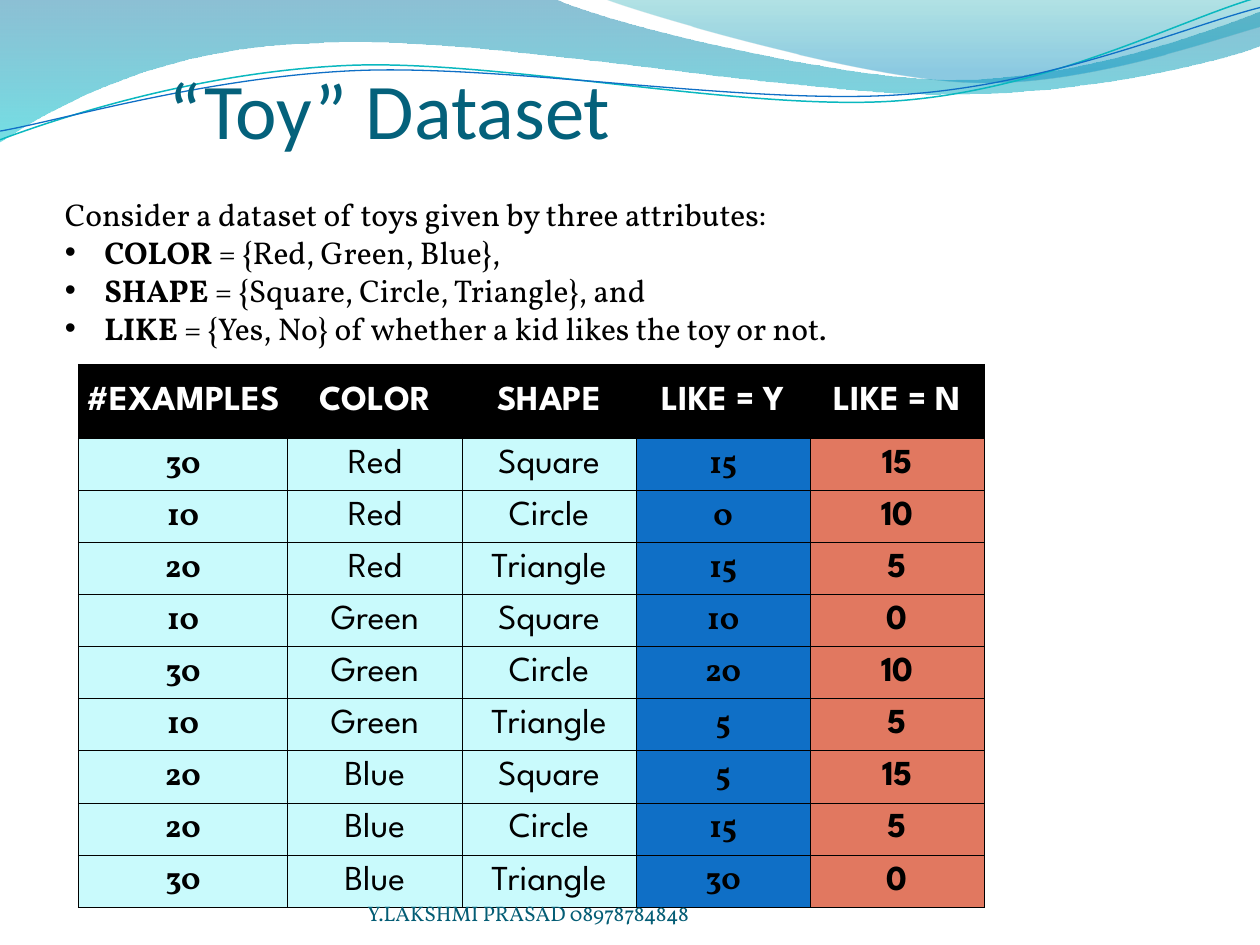
from lxml.etree import SubElement
from pptx import Presentation
from pptx.dml.color import RGBColor
from pptx.enum.text import MSO_ANCHOR as Anchor, MSO_AUTO_SIZE as AutoSize, PP_ALIGN as Align
from pptx.oxml.ns import qn
from pptx.util import Pt

COLORS = {
    "title": "04617B", "footer": "045D75", "black": "000000", "white": "FFFFFF",
    "plain": "C9FAFC", "yes": "0F6FC6", "no": "E17860",
    "deep": "0074A1", "aqua": "00C6CF", "teal": "00A1A9", "azure": "008BBF",
    "teal_line": "0AB8BF", "blue_line": "0F6FC6",
}
SERIF, SANS = "Vollkorn", "League Spartan"

# Outlines in points: a pair is a straight step, six numbers are a Bezier curve.
# Gradient stops are position, colour, opacity in percent.
BANDS = [
    ([(0, 0), (316.8, -0.7), (342.7, 12.2, 478.1, 45.4, 545.8, 45.4),
      (614.2, 45.4, 689.8, 18.7, 720, 6.5), (720.7, 25.9),
      (707.8, 31.7, 626.4, 54.7, 537.1, 54), (447.8, 54, 275, 20.2, 185, 24.5),
      (92.9, 25.9, 33.1, 59.8, -0.7, 81.4), (0, 0)],
     [(0, "deep", 45), (1, "aqua", 55)]),
    ([(344.9, -0.7), (366.5, 7.9, 491, 44.6, 553.7, 46.8),
      (616.3, 49.7, 691.9, 23, 720, 15.1), (720, 0), (344.9, -0.7)],
     [(0, "teal", 30), (0.8, "azure", 45)]),
]
STRANDS = [
    ([(0, 79.9), (34.6, 67, 113.8, 41, 199.4, 37.4),
      (284.4, 33.8, 427, 64.1, 513.4, 57.6), (599.8, 51.1, 675.4, 10.8, 718.6, -1.4)],
     "teal_line", 0.85),
    ([(0, 74.9), (33.8, 69.1, 118.1, 43.9, 203.8, 40.3),
      (290.2, 36.7, 429.8, 60.5, 516.2, 54), (601.9, 48.2, 677.5, 15.1, 720, 4.3)],
     "blue_line", 0.75),
]
HEADERS = ["#EXAMPLES", "COLOR", "SHAPE", "LIKE = Y", "LIKE = N"]
TOYS = [
    (30, "Red", "Square", 15, 15), (10, "Red", "Circle", 0, 10),
    (20, "Red", "Triangle", 15, 5), (10, "Green", "Square", 10, 0),
    (30, "Green", "Circle", 20, 10), (10, "Green", "Triangle", 5, 5),
    (20, "Blue", "Square", 5, 15), (20, "Blue", "Circle", 15, 5),
    (30, "Blue", "Triangle", 30, 0),
]
# Fill, font, size and weight of each column's body cells.
COLUMN_STYLES = [
    ("plain", SERIF, 18, True), ("plain", SANS, 20, False), ("plain", SANS, 20, False),
    ("yes", SERIF, 18, True), ("no", SANS, 20, True),
]
ATTRIBUTES = [
    ("COLOR", " = {Red, Green, Blue},"),
    ("SHAPE", " = {Square, Circle, Triangle}, and"),
    ("LIKE", " = {Yes, No} of whether a kid likes the toy or not."),
]


def rgb(name):
    return RGBColor.from_string(COLORS[name])


def set_all(target, **values):
    for name, value in values.items():
        setattr(target, name, value)


def add_span(para, text, font, size, color, bold=False):
    span = para.add_run()
    span.text = text
    set_all(span.font, name=font, size=Pt(size), bold=bold)
    span.font.color.rgb = rgb(color)


def set_margins(target, left, top, right, bottom):
    set_all(target, margin_left=Pt(left), margin_top=Pt(top),
            margin_right=Pt(right), margin_bottom=Pt(bottom))


def add_outline(page, box, outline, close):
    """Lay straight steps through every point, then merge each curve's three into one."""
    points = [(Pt(box[0] + part[i]), Pt(box[1] + part[i + 1]))
              for part in outline for i in range(0, len(part), 2)]
    builder = page.shapes.build_freeform(*points[0])
    builder.add_line_segments(points[1:], close=close)
    shape = builder.convert_to_shape()
    shape.shadow.inherit = False
    steps = iter(list(shape.element.iter(qn("a:lnTo"))))
    for part in outline[1:]:
        step = next(steps)
        if len(part) == 6:
            step.addprevious(curve := step.makeelement(qn("a:cubicBezTo"), {}))
            for each in (step, next(steps), next(steps)):
                curve.append(each[0])
                each.getparent().remove(each)
    return shape


def add_waves(page, box):
    for outline, stops in BANDS:
        band = add_outline(page, box, outline, True)
        band.line.fill.background()
        band.fill.gradient()
        band.fill.gradient_angle = 270
        for stop, (position, color, _) in zip(band.fill.gradient_stops, stops):
            stop.position = position
            stop.color.rgb = rgb(color)
        tints = band.element.spPr.find(qn("a:gradFill")).iter(qn("a:srgbClr"))
        for tint, (_, _, opacity) in zip(tints, stops):
            SubElement(tint, qn("a:alpha"), val=str(opacity * 1000))
    for outline, color, width in STRANDS:
        strand = add_outline(page, box, outline, False)
        strand.fill.background()
        strand.line.color.rgb = rgb(color)
        strand.line.width = Pt(width)


def place_title(page, box):
    title = page.shapes.title
    page.shapes.element.append(title.element)  # in front of the waves
    left, top, width, height = map(Pt, box)
    set_all(title, left=left, top=top, width=width, height=height)
    frame = title.text_frame
    set_all(frame, vertical_anchor=Anchor.BOTTOM, auto_size=AutoSize.NONE, word_wrap=True)
    set_margins(frame, 0, 3.6, 0, 0)
    para = frame.paragraphs[0]
    para.alignment = Align.LEFT
    add_span(para, "“Toy” Dataset", "Calibri", 45, "title")


def draw_borders(cell):
    props = cell._tc.get_or_add_tcPr()
    for i, side in enumerate(("lnL", "lnR", "lnT", "lnB")):
        line = props.makeelement(qn(f"a:{side}"), {"w": str(Pt(0.5))})
        fill = SubElement(line, qn("a:solidFill"))
        SubElement(fill, qn("a:srgbClr"), val=COLORS["black"])
        props.insert(i, line)


def fill_cell(cell, text, fill, font, size, bold, color="black"):
    cell.fill.solid()
    cell.fill.fore_color.rgb = rgb(fill)
    cell.vertical_anchor = Anchor.MIDDLE
    set_margins(cell, 0.7, 0.7, 0.7, 0)
    para = cell.text_frame.paragraphs[0]
    para.alignment = Align.CENTER
    add_span(para, str(text), font, size, color, bold)
    draw_borders(cell)


def add_toy_table(page, box, first_width=119.8, header_height=42.3):
    table = page.shapes.add_table(len(TOYS) + 1, len(HEADERS), *map(Pt, box)).table
    for i, column in enumerate(table.columns):
        column.width = Pt((box[2] - first_width) / (len(HEADERS) - 1) if i else first_width)
    for i, row in enumerate(table.rows):
        row.height = Pt((box[3] - header_height) / len(TOYS) if i else header_height)
    for c, header in enumerate(HEADERS):
        fill_cell(table.cell(0, c), header, "black", SANS, 20, True, "white")
    for r, toy in enumerate(TOYS, 1):
        for c, (value, style) in enumerate(zip(toy, COLUMN_STYLES)):
            fill_cell(table.cell(r, c), value, *style)


def add_attributes(page, box):
    frame = page.shapes.add_textbox(*map(Pt, box)).text_frame
    set_all(frame, word_wrap=True, auto_size=AutoSize.SHAPE_TO_FIT_TEXT)
    add_span(frame.paragraphs[0], "Consider a dataset of toys given by three attributes:",
             SERIF, 18, "black")
    for name, values in ATTRIBUTES:
        para = frame.add_paragraph()
        props = para._p.get_or_add_pPr()
        props.set("marL", str(Pt(22.5)))
        props.set("indent", str(Pt(-22.5)))
        SubElement(props, qn("a:buFont"), typeface="Arial")
        SubElement(props, qn("a:buChar"), char="•")
        add_span(para, name, SERIF, 18, "black", True)
        add_span(para, values, SERIF, 18, "black")


def add_footer(page, box):
    frame = page.shapes.add_textbox(*map(Pt, box)).text_frame
    set_all(frame, word_wrap=True, vertical_anchor=Anchor.BOTTOM)
    set_margins(frame, 0, 0, 0, 0)
    add_span(frame.paragraphs[0], "Y.LAKSHMI PRASAD 08978784848", SERIF, 12, "footer")


def main():
    deck = Presentation()
    set_all(deck, slide_width=Pt(720), slide_height=Pt(540))
    page = deck.slides.add_slide(deck.slide_layouts[5])
    add_waves(page, (0, 0, 720, 82))
    place_title(page, (96, 39.6, 486, 49))
    add_toy_table(page, (44.7, 208.2, 517.8, 310.2))
    add_attributes(page, (30, 108, 660, 94.3))
    add_footer(page, (210, 500.2, 264, 28.8))
    deck.save("out.pptx")


if __name__ == "__main__":
    main()
